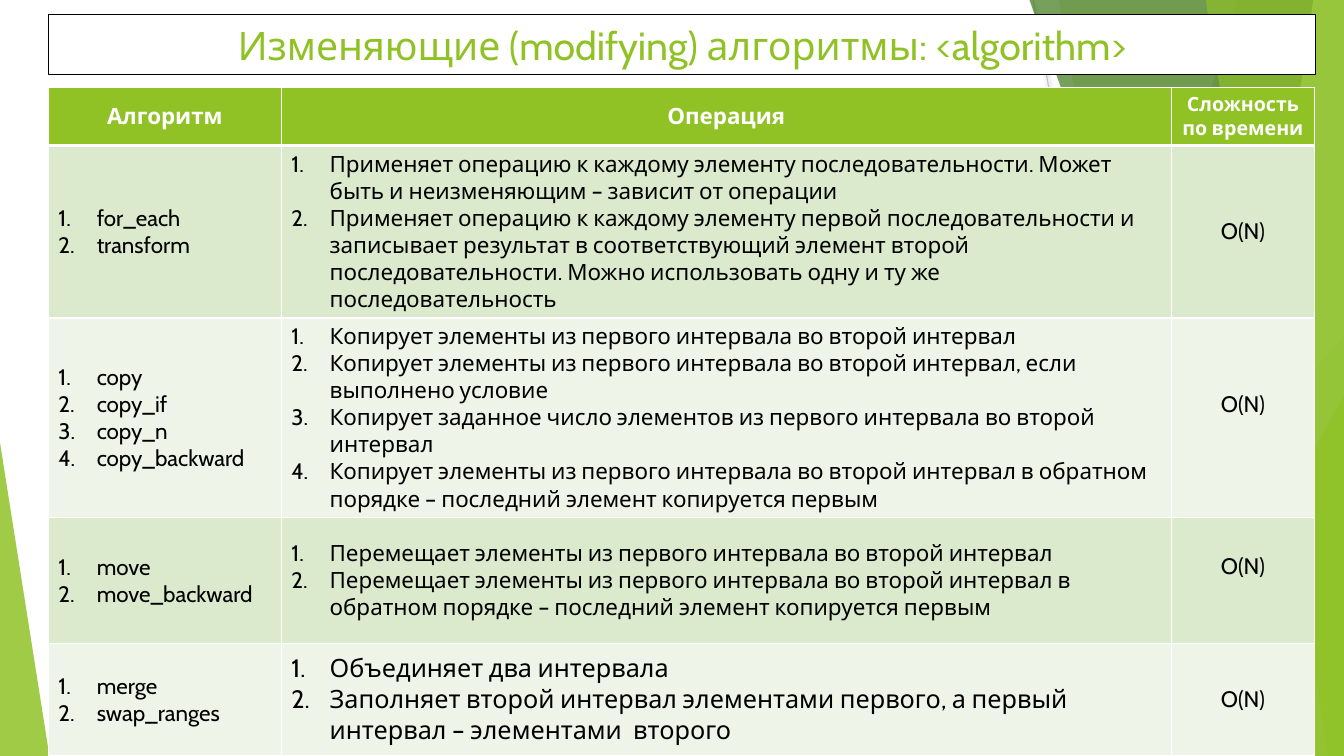
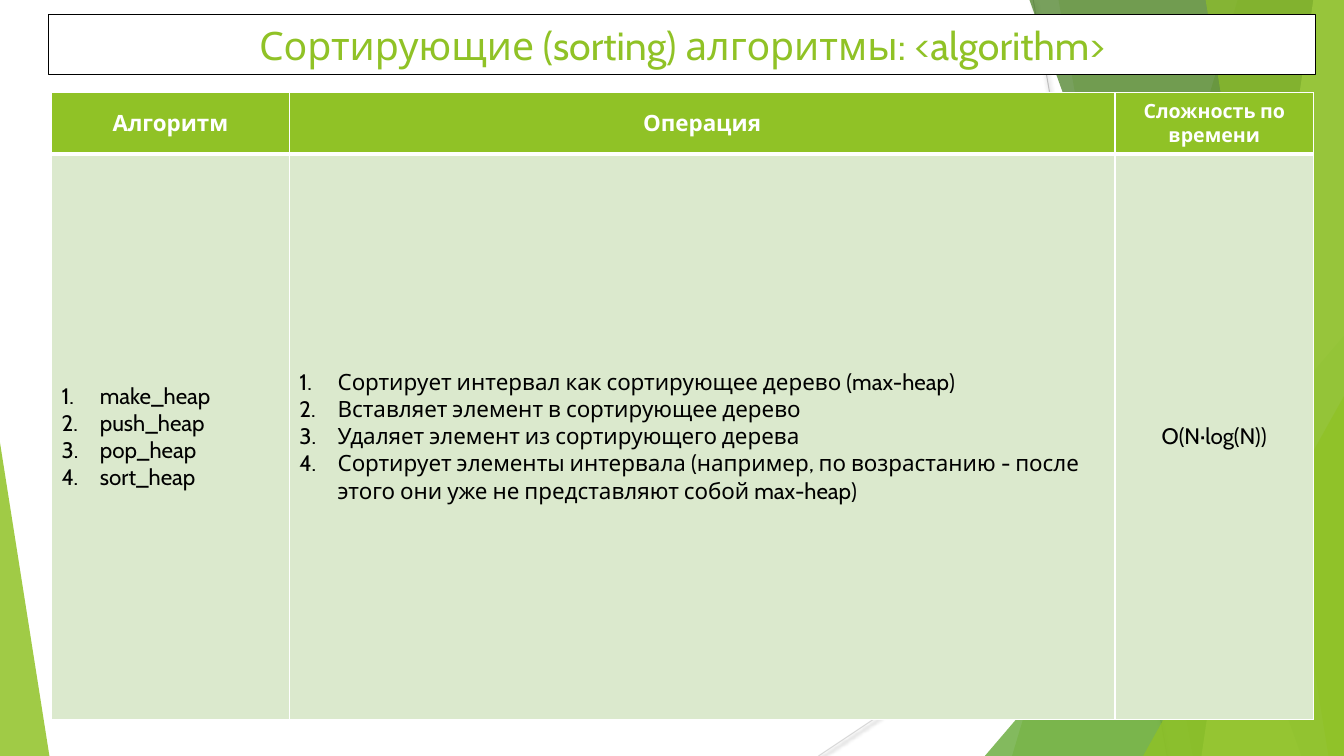
from dataclasses import dataclass
from typing import Any, NamedTuple

from lxml.etree import SubElement
from pptx import Presentation
from pptx.dml.color import RGBColor
from pptx.enum.shapes import MSO_CONNECTOR as Connector, MSO_SHAPE as Preset
from pptx.enum.text import MSO_ANCHOR as Anchor, PP_ALIGN as Align
from pptx.oxml.ns import qn
from pptx.util import Emu, Inches, Pt

# Colours and type
WHITE = RGBColor(0xFF, 0xFF, 0xFF)
BLACK = RGBColor(0x00, 0x00, 0x00)
LIME = RGBColor(0x90, 0xC2, 0x26)
GREEN = RGBColor(0x54, 0xA0, 0x21)
FOREST = RGBColor(0x3F, 0x78, 0x19)
PALE_LIME = RGBColor(0xC0, 0xE4, 0x74)
BAND_DARK = RGBColor(0xDB, 0xE9, 0xCD)
BAND_LIGHT = RGBColor(0xEE, 0xF4, 0xE8)
GREY = RGBColor(0xBF, 0xBF, 0xBF)
LIGHT_GREY = RGBColor(0xD9, 0xD9, 0xD9)
FONT = "Cabin"
TITLE = {"name": FONT, "size": Pt(28)}
HEAD = {"name": FONT, "size": Pt(16), "bold": True}
BODY = {"name": FONT, "size": Pt(16), "bold": False}
LIST_INDENT = Inches(0.38)
CELL_MARGIN = Inches(0.05)

# Grid: 100 columns by 100 rows over the whole slide
WIDTH, HEIGHT = Emu(12192000), Inches(7.5)
TOP = -0.11


def across(columns: float) -> Emu:
    return Emu(round(WIDTH * columns / 100))


def down(rows: float) -> Emu:
    return Emu(round(HEIGHT * rows / 100))


class Ray(NamedTuple):
    start: tuple[float, float]
    end: tuple[float, float]
    color: RGBColor


class Facet(NamedTuple):
    top_left: float
    bottom_left: float
    color: RGBColor
    opacity: int


class Wedge(NamedTuple):
    left: float
    top: float
    width: float
    height: float
    apex: float
    color: RGBColor
    opacity: int


@dataclass
class Entry:
    height: float
    names: list[str]
    operations: list[str]
    cost: str
    operation_size: int = 16
    cost_lift: float = 0


@dataclass
class Lesson:
    title: str
    left: float
    top: float
    columns: list[float]
    head_height: float
    entries: list[Entry]


RAYS = [
    Ray((76.88, 0), (86.85, 100), GREY),
    Ray((100, 53.73), (60.9, 100), LIGHT_GREY),
]
FACETS_AND_WEDGES = [
    Facet(92.1, 75.3, LIME, 30),
    Facet(78.75, 88.73, LIME, 20),
    Wedge(73.28, 44.4, 26.72, 55.6, 1, GREEN, 72),
    Facet(76.58, 96.83, FOREST, 70),
    Facet(97.73, 89.4, PALE_LIME, 70),
    Facet(89.7, 98.85, LIME, 65),
    Wedge(85.05, 52.4, 14.95, 47.6, 1, LIME, 80),
    Wedge(0, 58.53, 3.68, 41.47, 0, LIME, 85),
]
HEADINGS = [("Алгоритм", 16), ("Операция", 16), ("Сложность по времени", 14)]

LESSONS = [
    Lesson(
        "Изменяющие (modifying) алгоритмы: <algorithm>",
        3.6, 11.6, [17.33, 66.23, 10.65], 7.07,
        [
            Entry(22, ["for_each", "transform"], [
                "Применяет операцию к каждому элементу последовательности. "
                "Может быть и неизменяющим – зависит от операции",
                "Применяет операцию к каждому элементу первой последовательности "
                "и записывает результат в соответствующий элемент второй "
                "последовательности. Можно использовать одну и ту же "
                "последовательность",
            ], "O(N)"),
            Entry(24.67, ["copy", "copy_if", "copy_n", "copy_backward"], [
                "Копирует элементы из первого интервала во второй интервал",
                "Копирует элементы из первого интервала во второй интервал, "
                "если выполнено условие",
                "Копирует заданное число элементов из первого интервала "
                "во второй интервал",
                "Копирует элементы из первого интервала во второй интервал "
                "в обратном порядке – последний элемент копируется первым",
            ], "O(N)", cost_lift=0.27),
            Entry(16.67, ["move", "move_backward"], [
                "Перемещает элементы из первого интервала во второй интервал",
                "Перемещает элементы из первого интервала во второй интервал "
                "в обратном порядке – последний элемент копируется первым",
            ], "O(N)", cost_lift=0.27),
            Entry(14.8, ["merge", "swap_ranges"], [
                "Объединяет два интервала",
                "Заполняет второй интервал элементами первого, а первый "
                "интервал – элементами  второго",
            ], "O(N)", operation_size=18),
        ],
    ),
    Lesson(
        "Сортирующие (sorting) алгоритмы: <algorithm>",
        3.83, 12.27, [17.7, 61.43, 14.78], 8.13,
        [
            Entry(74.8, ["make_heap", "push_heap", "pop_heap", "sort_heap"], [
                "Сортирует интервал как сортирующее дерево (max-heap)",
                "Вставляет элемент в сортирующее дерево",
                "Удаляет элемент из сортирующего дерева",
                "Сортирует элементы интервала (например, по возрастанию - "
                "после этого они уже не представляют собой max-heap)",
            ], "O(N·log(N))"),
        ],
    ),
]


# Shared backdrop
def draw_ray(page: Any, ray: Ray) -> None:
    (x1, y1), (x2, y2) = ray.start, ray.end
    line = page.shapes.add_connector(
        Connector.STRAIGHT, across(x1), down(y1), across(x2), down(y2))
    line.line.color.rgb = ray.color
    line.line.width = Pt(0.75)
    effects = SubElement(line._element.spPr, qn("a:effectLst"))
    shadow = SubElement(effects, qn("a:outerShdw"), blurRad=str(Pt(3.1)),
                        dist=str(Pt(1.6)), dir="5400000", rotWithShape="0")
    black = SubElement(shadow, qn("a:srgbClr"), val=str(BLACK))
    SubElement(black, qn("a:alpha"), val="38000")


def tint(shape: Any, color: RGBColor, opacity: int) -> None:
    shape.shadow.inherit = False
    shape.fill.solid()
    shape.fill.fore_color.rgb = color
    shape.line.fill.background()
    tone = shape._element.spPr.find(qn("a:solidFill")).find(qn("a:srgbClr"))
    SubElement(tone, qn("a:alpha"), val=str(opacity * 1000))


def draw_facet(page: Any, facet: Facet) -> None:
    outline = page.shapes.build_freeform(across(facet.top_left), down(TOP))
    corners = [(100, TOP), (100, 100), (facet.bottom_left, 100)]
    outline.add_line_segments([(across(x), down(y)) for x, y in corners])
    tint(outline.convert_to_shape(), facet.color, facet.opacity)


def draw_wedge(page: Any, wedge: Wedge) -> None:
    shape = page.shapes.add_shape(
        Preset.ISOSCELES_TRIANGLE, across(wedge.left), down(wedge.top),
        across(wedge.width), down(wedge.height))
    shape.adjustments[0] = wedge.apex
    tint(shape, wedge.color, wedge.opacity)


def draw_backdrop(page: Any) -> None:
    for ray in RAYS:
        draw_ray(page, ray)
    for part in FACETS_AND_WEDGES:
        if isinstance(part, Facet):
            draw_facet(page, part)
        else:
            draw_wedge(page, part)


# Text
def write(para: Any, text: str, style: dict[str, Any], color: RGBColor) -> None:
    span = para.add_run()
    span.text = text
    for name, value in style.items():
        setattr(span.font, name, value)
    span.font.color.rgb = color


def number(para: Any) -> None:
    properties = para._p.get_or_add_pPr()
    properties.set("marL", str(LIST_INDENT))
    properties.set("indent", str(-LIST_INDENT))
    SubElement(properties, qn("a:buFont"), typeface="+mj-lt")
    SubElement(properties, qn("a:buAutoNum"), type="arabicPeriod")


def draw_title(page: Any, text: str) -> None:
    box = page.shapes.add_shape(
        Preset.RECTANGLE, across(3.6), down(1.87), across(94.28), down(8))
    box.shadow.inherit = False
    box.fill.solid()
    box.fill.fore_color.rgb = WHITE
    box.line.color.rgb = BLACK
    box.line.width = Pt(0.75)
    box.text_frame.word_wrap = True
    box.text_frame.vertical_anchor = Anchor.MIDDLE
    para = box.text_frame.paragraphs[0]
    para.alignment = Align.CENTER
    write(para, text, TITLE, LIME)


# Table
def dress_cell(cell: Any, fill: RGBColor, top: float, bottom: float) -> None:
    properties = cell._tc.get_or_add_tcPr()
    for side, width in {"L": 1, "R": 1, "T": top, "B": bottom}.items():
        edge = SubElement(properties, qn(f"a:ln{side}"), w=str(Pt(width)))
        paint = SubElement(edge, qn("a:solidFill"))
        SubElement(paint, qn("a:srgbClr"), val=str(WHITE))
    cell.fill.solid()
    cell.fill.fore_color.rgb = fill
    cell.vertical_anchor = Anchor.MIDDLE


def fill_cell(cell: Any, lines: list[str], style: dict[str, Any],
              color: RGBColor, numbered: bool) -> None:
    frame = cell.text_frame
    for index, text in enumerate(lines):
        para = frame.add_paragraph() if index else frame.paragraphs[0]
        if numbered:
            number(para)
        else:
            para.alignment = Align.CENTER
        write(para, text, style, color)


def draw_table(page: Any, lesson: Lesson) -> None:
    heights = [lesson.head_height, *(entry.height for entry in lesson.entries)]
    table = page.shapes.add_table(
        len(heights), len(lesson.columns), across(lesson.left), down(lesson.top),
        across(sum(lesson.columns)), down(sum(heights))).table
    for column, width in zip(table.columns, lesson.columns):
        column.width = across(width)
    for row, height in zip(table.rows, heights):
        row.height = down(height)

    for column, (heading, size) in enumerate(HEADINGS):
        cell = table.cell(0, column)
        dress_cell(cell, LIME, 1, 3)
        fill_cell(cell, [heading], HEAD | {"size": Pt(size)}, WHITE, False)

    for row, entry in enumerate(lesson.entries, 1):
        contents = [(entry.names, 16, True),
                    (entry.operations, entry.operation_size, True),
                    ([entry.cost], 16, False)]
        for column, (lines, size, numbered) in enumerate(contents):
            cell = table.cell(row, column)
            dress_cell(cell, BAND_DARK if row % 2 else BAND_LIGHT,
                       3 if row == 1 else 1, 1)
            fill_cell(cell, lines, BODY | {"size": Pt(size)}, BLACK, numbered)
        cell.margin_bottom = CELL_MARGIN + Inches(entry.cost_lift)


deck = Presentation()
deck.slide_width, deck.slide_height = WIDTH, HEIGHT
for lesson in LESSONS:
    page = deck.slides.add_slide(deck.slide_layouts[6])
    draw_backdrop(page)
    draw_title(page, lesson.title)
    draw_table(page, lesson)
deck.save("out.pptx")
